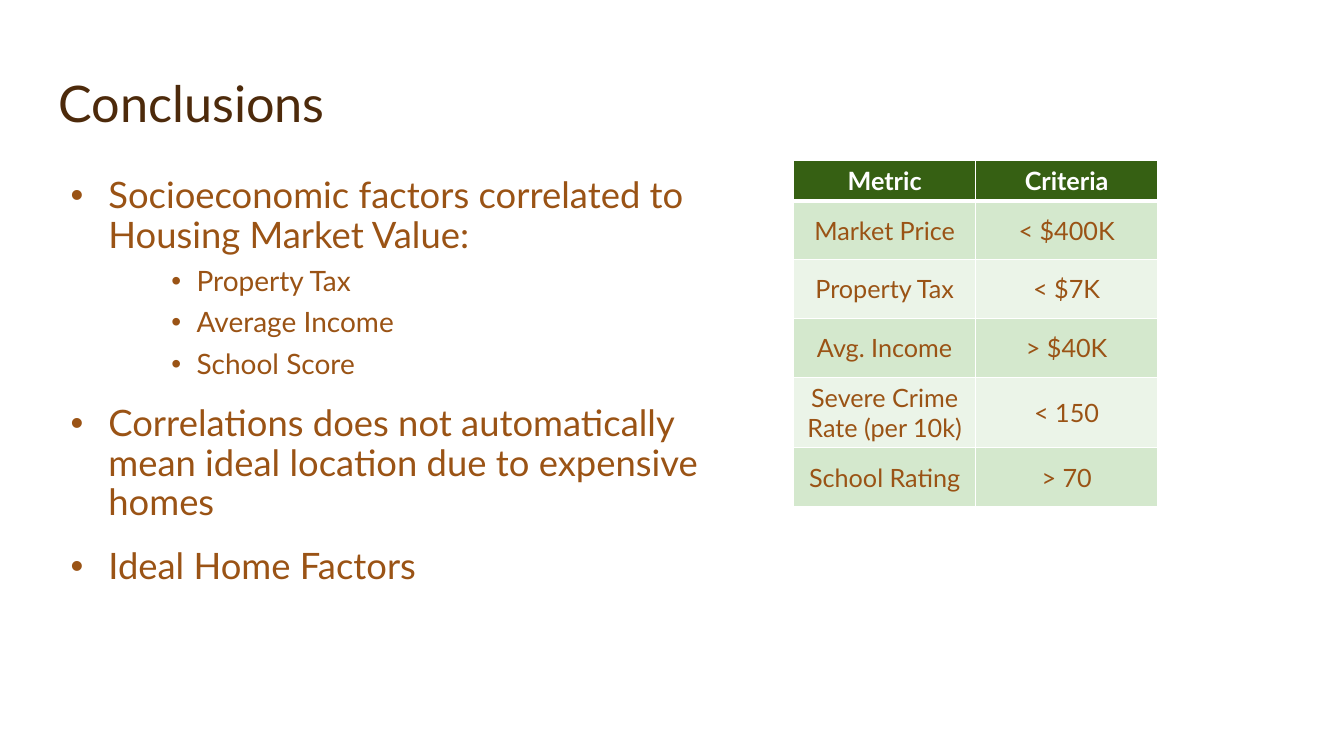
from dataclasses import dataclass

from lxml import etree
from pptx import Presentation
from pptx import util as u
from pptx.dml.color import RGBColor
from pptx.enum import text
from pptx.oxml import ns

FONT = "Lato"
BROWN = RGBColor(0x9A, 0x53, 0x15)
DARK_BROWN = RGBColor(0x4D, 0x2A, 0x0B)
WHITE = RGBColor(0xFF, 0xFF, 0xFF)
HEADER_GREEN = RGBColor(0x36, 0x60, 0x13)
BAND_GREEN = RGBColor(0xD4, 0xE8, 0xCD)
PALE_GREEN = RGBColor(0xEB, 0xF4, 0xE8)


@dataclass(frozen=True)
class BulletStyle:
    level: int
    size: float
    before: float
    margin: float
    hanging: float


@dataclass(frozen=True)
class Bullet:
    label: str
    style: BulletStyle


@dataclass(frozen=True)
class MetricRow:
    metric: str
    criteria: str
    height: float = 42


POINT = BulletStyle(0, 26, 18, 27, 27)
DETAIL = BulletStyle(2, 20, 8, 90, 18)

BULLETS = [
    Bullet("Socioeconomic factors correlated to Housing Market Value:", POINT),
    Bullet("Property Tax", DETAIL),
    Bullet("Average Income", DETAIL),
    Bullet("School Score", DETAIL),
    Bullet("Correlations does not automatically mean ideal location due to expensive homes", POINT),
    Bullet("Ideal Home Factors", POINT),
]

ROWS = [
    MetricRow("Metric", "Criteria", 28.8),
    MetricRow("Market Price", "< $400K"),
    MetricRow("Property Tax", "< $7K"),
    MetricRow("Avg. Income", "> $40K"),
    MetricRow("Severe Crime Rate (per 10k)", "< 150", 50.4),
    MetricRow("School Rating", "> 70"),
]


def place(sp, left: float, top: float, width: float, height: float) -> None:
    sp.left, sp.top = u.Pt(left), u.Pt(top)
    sp.width, sp.height = u.Pt(width), u.Pt(height)


def set_font(p, size: float, color: RGBColor, bold: bool = False) -> None:
    p.font.name = FONT
    p.font.size = u.Pt(size)
    p.font.bold = bold
    p.font.color.rgb = color


def fill_title(sp) -> None:
    place(sp, 34.6, 40.3, 792, 58.3)
    tf = sp.text_frame
    tf.text = "Conclusions"
    tf.auto_size = text.MSO_AUTO_SIZE.NONE
    tf.vertical_anchor = text.MSO_ANCHOR.BOTTOM
    p = tf.paragraphs[0]
    p.alignment = text.PP_ALIGN.LEFT
    p.line_spacing = 0.9
    set_font(p, 36, DARK_BROWN)


def fill_body(sp) -> None:
    place(sp, 43.2, 123.1, 495.4, 303.8)
    tf = sp.text_frame
    tf.text = "\n".join(b.label for b in BULLETS)
    tf.auto_size = text.MSO_AUTO_SIZE.NONE
    for p, bullet in zip(tf.paragraphs, BULLETS):
        style = bullet.style
        p.level = style.level
        p.line_spacing = 0.9
        p.space_before = u.Pt(style.before)
        pPr = p._p.get_or_add_pPr()
        pPr.set("marL", str(u.Pt(style.margin)))
        pPr.set("indent", str(u.Pt(-style.hanging)))
        set_font(p, style.size, BROWN)


def set_border(cell, side: str, width: float) -> None:
    tcPr = cell._tc.get_or_add_tcPr()
    ln = etree.SubElement(tcPr, ns.qn(f"a:ln{side}"), w=str(u.Pt(width)))
    fill = etree.SubElement(ln, ns.qn("a:solidFill"))
    etree.SubElement(fill, ns.qn("a:srgbClr"), val=str(WHITE))


def fill_cell(cell, label: str, row: int) -> None:
    header = row == 0
    borders = {"L": 1, "R": 1, "T": 3 if row == 1 else 1, "B": 3 if header else 1}
    for side, width in borders.items():
        set_border(cell, side, width)
    cell.fill.solid()
    cell.fill.fore_color.rgb = HEADER_GREEN if header else BAND_GREEN if row % 2 else PALE_GREEN
    cell.vertical_anchor = text.MSO_ANCHOR.MIDDLE
    cell.text = label
    p = cell.text_frame.paragraphs[0]
    p.alignment = text.PP_ALIGN.CENTER
    set_font(p, 18, WHITE if header else BROWN, header)


def add_metrics(s) -> None:
    height = sum(row.height for row in ROWS)
    frame = s.shapes.add_table(len(ROWS), 2, u.Pt(566.9), u.Pt(114.7), u.Pt(260), u.Pt(height))
    table = frame.table
    for column in table.columns:
        column.width = u.Pt(130)
    for i, row in enumerate(ROWS):
        table.rows[i].height = u.Pt(row.height)
        for j, label in enumerate((row.metric, row.criteria)):
            fill_cell(table.cell(i, j), label, i)


def main() -> None:
    prs = Presentation()
    prs.slide_width, prs.slide_height = u.Pt(960), u.Pt(540)
    s = prs.slides.add_slide(prs.slide_layouts[1])
    fill_title(s.shapes.title)
    fill_body(s.placeholders[1])
    add_metrics(s)
    prs.save("out.pptx")


if __name__ == "__main__":
    main()
